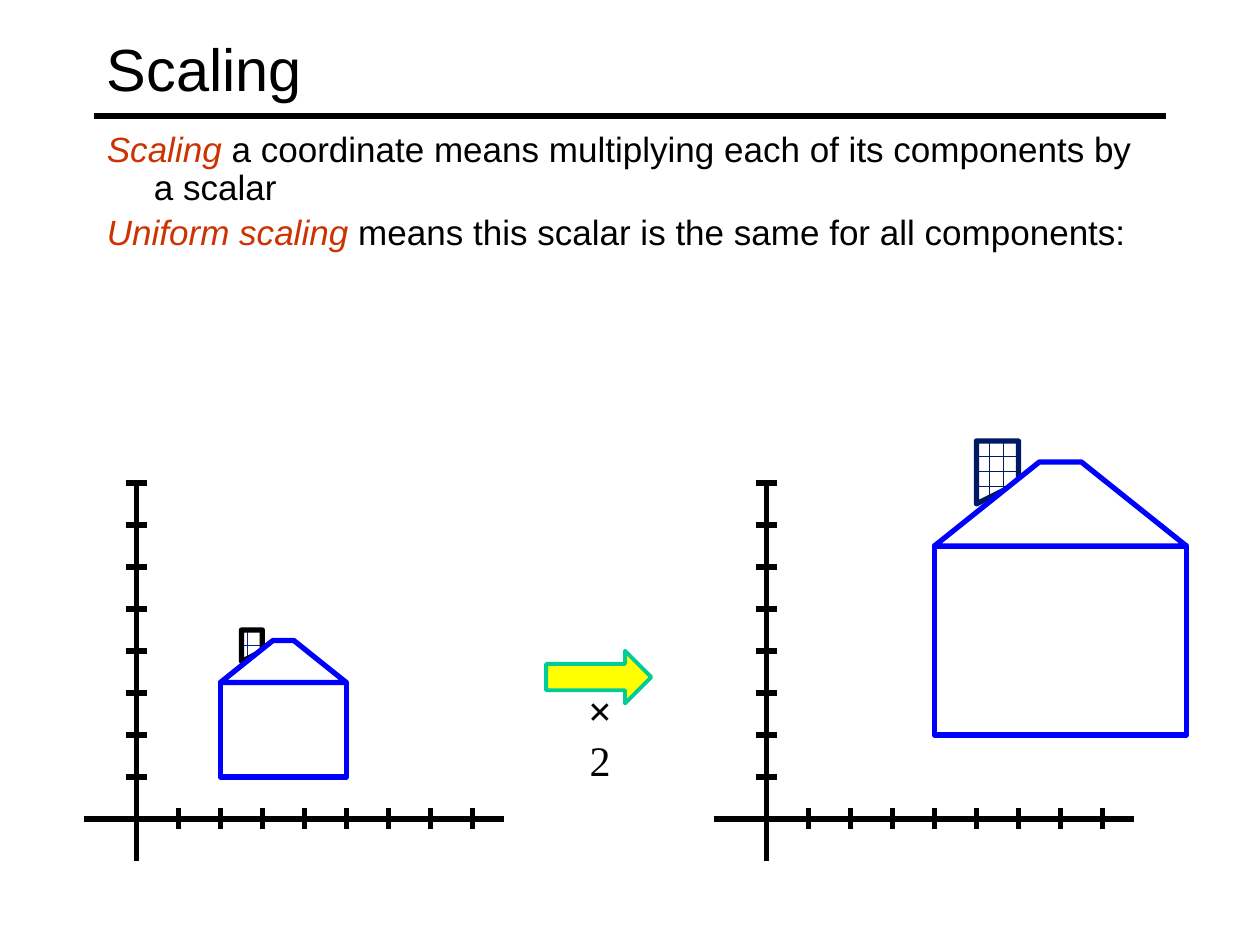
from pptx import Presentation
from pptx.dml.color import RGBColor
from pptx.enum.dml import MSO_PATTERN
from pptx.enum.shapes import MSO_CONNECTOR, MSO_SHAPE
from pptx.enum.text import MSO_ANCHOR, MSO_AUTO_SIZE, PP_ALIGN
from pptx.oxml.ns import qn
from pptx.util import Cm, Pt

STRAIGHT = MSO_CONNECTOR.STRAIGHT
BRICK = MSO_PATTERN.HORIZONTAL_BRICK
MIDDLE, TOP = MSO_ANCHOR.MIDDLE, MSO_ANCHOR.TOP
LEFT, CENTER = PP_ALIGN.LEFT, PP_ALIGN.CENTER
BLACK, WHITE, BLUE, RED = "000000", "FFFFFF", "0000FF", "CC3300"
UNIT = 2.54 / 3  # one tick of the axes, in cm
TICKS = 8


def color(hex_string):
    return RGBColor.from_string(hex_string)


def place(shape, box):
    shape.left, shape.top, shape.width, shape.height = (Cm(v) for v in box)


def format_span(span, size, font, hex_string, bold=False, italic=False):
    span.font.size, span.font.name = Pt(size), font
    span.font.bold, span.font.italic = bold, italic
    span.font.color.rgb = color(hex_string)


def style(shape, fill, line, width=3):
    shape.shadow.inherit = False
    shape.fill.solid()
    shape.fill.fore_color.rgb = color(fill)
    shape.line.color.rgb = color(line)
    shape.line.width = Pt(width)


def add_line(shapes, x1, y1, x2, y2):
    line = shapes.add_connector(STRAIGHT, Cm(x1), Cm(y1), Cm(x2), Cm(y2))
    line.line.color.rgb = color(BLACK)
    line.line.width = Pt(3)
    properties = line._element.spPr
    properties.append(properties.makeelement(qn("a:effectLst"), {}))


def add_title(page, box):
    title = page.shapes.title
    place(title, box)
    frame = title.text_frame
    frame.text = "Scaling"
    frame.auto_size, frame.vertical_anchor = MSO_AUTO_SIZE.NONE, MIDDLE
    para = frame.paragraphs[0]
    para.alignment = LEFT
    format_span(para.runs[0], 34, "Arial", BLACK)
    left, _, width, _ = box
    add_line(page.shapes, left, 2.34, left + width, 2.34)


def add_definitions(page, box, definitions):
    body = page.placeholders[1]
    place(body, box)
    frame = body.text_frame
    frame.auto_size, frame.vertical_anchor = MSO_AUTO_SIZE.NONE, TOP
    for index, (term, meaning) in enumerate(definitions):
        para = frame.add_paragraph() if index else frame.paragraphs[0]
        para.alignment, para.line_spacing = LEFT, 0.9
        properties = para._p.get_or_add_pPr()
        properties.set("marL", str(Cm(0.95)))
        properties.set("indent", str(-Cm(0.95)))
        properties.append(properties.makeelement(qn("a:buNone"), {}))
        for text, ink, italic in ((term, RED, True), (meaning, BLACK, False)):
            span = para.add_run()
            span.text = text
            format_span(span, 20, "Arial", ink, italic=italic)


def add_axes(page, x, y):
    """Axes with ticks, origin at (x, y)."""
    shapes = page.shapes.add_group_shape().shapes
    add_line(shapes, x, y - TICKS * UNIT, x, y + UNIT)
    add_line(shapes, x - 1.25 * UNIT, y, x + 8.75 * UNIT, y)
    half = UNIT / 4
    for tick in range(1, TICKS + 1):
        step = tick * UNIT
        add_line(shapes, x + step, y - half, x + step, y + half)
        add_line(shapes, x - half, y - step, x + half, y - step)


def add_house(page, x, y, scale, brick, edge):
    """House in axis units, scaled about the origin (x, y)."""
    shapes = page.shapes.add_group_shape().shapes
    size = UNIT * scale

    def point(across, up):
        return Cm(x + across * size), Cm(y - up * size)

    def outline(first, *others):
        builder = shapes.build_freeform(*point(*first))
        builder.add_line_segments([point(*other) for other in others])
        return builder.convert_to_shape()

    chimney = outline((2.5, 3.75), (2.5, 4.5), (3, 4.5), (3, 4))
    style(chimney, WHITE, edge)
    chimney.fill.patterned()
    chimney.fill.pattern = BRICK
    chimney.fill.fore_color.rgb = color(brick)
    chimney.fill.back_color.rgb = color(WHITE)

    walls = shapes.add_shape(MSO_SHAPE.RECTANGLE, *point(2, 3.25),
                             Cm(3 * size), Cm(2.25 * size))
    style(walls, WHITE, BLUE)
    roof = outline((2, 3.25), (3.25, 4.25), (3.75, 4.25), (5, 3.25))
    style(roof, WHITE, BLUE)


def add_scale_arrow(page, x, y):
    arrow = page.shapes.add_shape(MSO_SHAPE.RIGHT_ARROW, Cm(x), Cm(y),
                                  Cm(2.12), Cm(1.06))
    style(arrow, "FFFF00", "00CC99", 2.25)
    label = page.shapes.add_textbox(Cm(x + 0.33), Cm(y + 1.06), Cm(1.52), Cm(1.27))
    frame = label.text_frame
    frame.word_wrap, frame.vertical_anchor = True, MIDDLE
    para = frame.paragraphs[0]
    para.alignment = CENTER
    for text, bold in (("× ", True), ("2", False)):
        span = para.add_run()
        span.text = text
        format_span(span, 24, "Times New Roman", BLACK, bold=bold)


def main():
    deck = Presentation()
    deck.slide_width, deck.slide_height = Cm(25.4), Cm(19.05)
    page = deck.slides.add_slide(deck.slide_layouts[1])

    add_title(page, (1.9, 0.21, 21.6, 2.33))
    add_definitions(page, (1.9, 2.54, 21.6, 6.65), [
        ("Scaling", " a coordinate means multiplying each of its components by a scalar"),
        ("Uniform scaling", " means this scalar is the same for all components:"),
    ])

    # The house before and after scaling
    for x, scale, brick, edge in ((2.75, 1, "032389", BLACK),
                                  (15.45, 2, "011965", "011965")):
        add_axes(page, x, 16.51)
        add_house(page, x, 16.51, scale, brick, edge)
    add_scale_arrow(page, 11.01, 13.12)

    deck.save("out.pptx")


if __name__ == "__main__":
    main()
